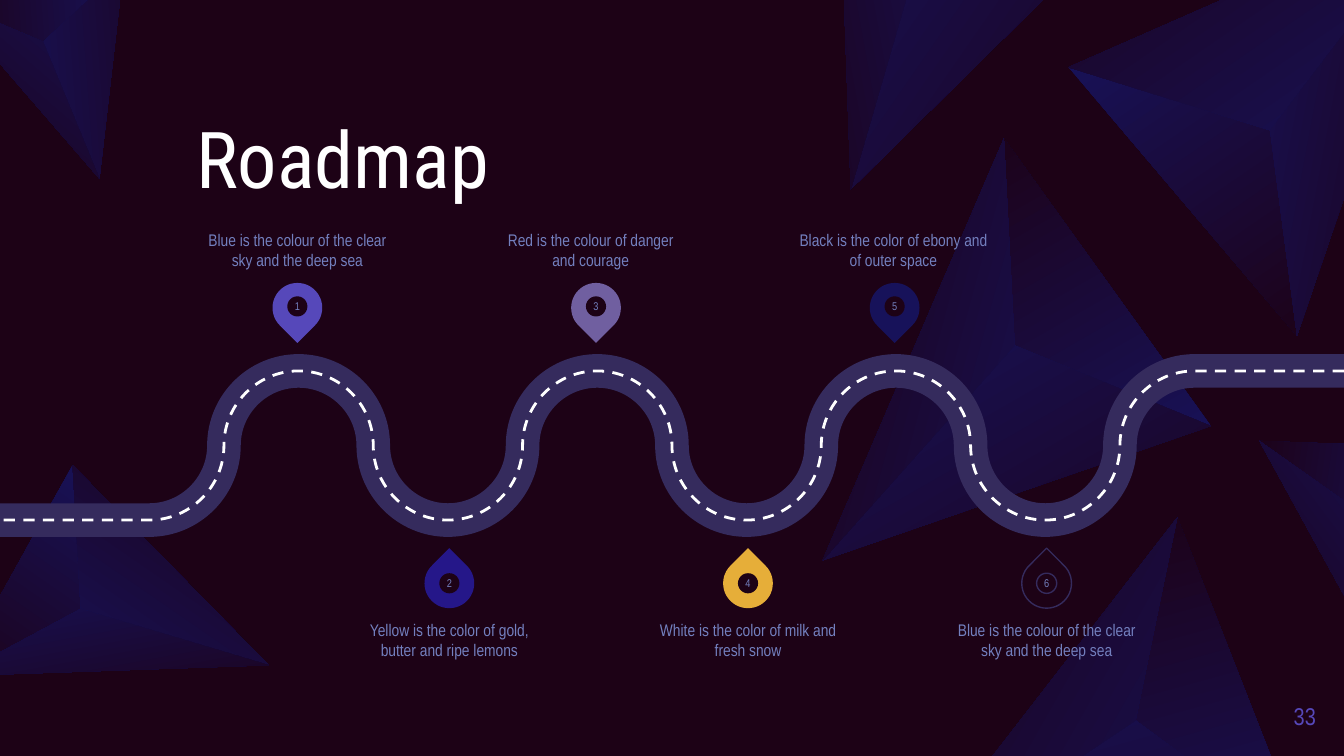
import math

import pptx
import pptx.util
from pptx.dml.color import RGBColor
from pptx.enum.dml import MSO_LINE
from pptx.enum.shapes import MSO_SHAPE
from pptx.enum.text import MSO_ANCHOR, PP_ALIGN
from pptx.oxml import parse_xml
from pptx.oxml.ns import nsdecls, qn

W = 10
H = W * 9 / 16
COLORS = {
    "night": "1D0216", "navy": "17125A", "road": "352B5D", "white": "FFFFFF",
    "violet": "5648BA", "mauve": "705FA0", "blue": "251789", "gold": "E6AE39",
    "text": "7380BF",
}
TITLE_FONT, BODY_FONT = "Roboto Condensed", "Arial Narrow"

# number, pin colour, caption, sideways nudge of the caption
STOPS = [
    ("1", "violet", "Blue is the colour of the clear sky and the deep sea", 0),
    ("2", "blue", "Yellow is the color of gold, butter and ripe lemons", 0),
    ("3", "mauve", "Red is the colour of danger and courage", -0.04),
    ("4", "gold", "White is the color of milk and fresh snow", 0),
    ("5", "navy", "Black is the color of ebony and of outer space", -0.01),
    ("6", "night", "Blue is the colour of the clear sky and the deep sea", 0),
]
# rotation, three base corners, apex
PYRAMIDS = [
    (100.5, (9.65, 2.5), (7.95, 0.5), (10.75, -0.73), (9.45, 0.97)),
    (169.6, (-0.33, 5.03), (0.54, 3.46), (2, 4.95), (0.6, 4.53)),
    (285.1, (7.47, 1.03), (9.01, 3.17), (6.12, 4.17), (7.55, 2.57)),
    (299.6, (8.76, 3.85), (9.72, 6.3), (6.67, 6.55), (8.45, 5.36)),
    (233.2, (9.37, 3.28), (10.73, 3.33), (10.22, 4.83), (10.02, 3.74)),
    (259.7, (6.21, -2), (8.51, -0.74), (6.33, 1.41), (6.93, -0.65)),
    (220.8, (-0.41, 0), (0.92, -0.24), (0.74, 1.33), (0.32, 0.31)),
]

STEP = W / 9                      # one column per stop
ROAD_TOP, ROAD_BOTTOM = 2.76, 3.87
PIN, DOT = 0.37, 0.15
CAPTION_W, CAPTION_H = 1.41, 0.58
# column shift, pin centre, dot centre, caption top, pin rotation, caption anchor
ABOVE = (-0.01, 2.29, 2.28, 1.43, 135, MSO_ANCHOR.BOTTOM)
BELOW = (0.01, 4.34, 4.34, 4.61, 315, MSO_ANCHOR.TOP)

prs = pptx.Presentation()
prs.slide_width, prs.slide_height = pptx.util.Inches(W), pptx.util.Inches(H)
s = prs.slides.add_slide(prs.slide_layouts[6])


def rgb(name):
    return RGBColor.from_string(COLORS[name])


def inches(*values):
    return [pptx.util.Inches(v) for v in values]


def write(sp, text, size=9, color="text", font=BODY_FONT, align=PP_ALIGN.CENTER,
          anchor=MSO_ANCHOR.MIDDLE, spacing=None):
    tf = sp.text_frame
    tf.word_wrap = True
    tf.margin_left = tf.margin_right = tf.margin_top = tf.margin_bottom = 0
    tf.vertical_anchor = anchor
    p = tf.paragraphs[0]
    p.alignment = align
    p.line_spacing = spacing
    r = p.add_run()
    r.text = text
    r.font.size = pptx.util.Pt(size)
    r.font.name = font
    r.font.color.rgb = rgb(color)


def textbox(x, y, w, h, text, **fmt):
    write(s.shapes.add_textbox(*inches(x, y, w, h)), text, **fmt)


def outline(points, close):
    start, *rest = [inches(*pt) for pt in points]
    fb = s.shapes.build_freeform(*start)
    fb.add_line_segments(rest, close=close)
    sp = fb.convert_to_shape()
    sp.shadow.inherit = False
    return sp


def turn(point, degrees):
    a = math.radians(degrees)
    x, y = point
    return (x * math.cos(a) - y * math.sin(a), x * math.sin(a) + y * math.cos(a))


def facet(points, rotation, angle):
    """Triangle whose gradient turns with it; points are as seen once rotated."""
    flat = [turn(pt, -rotation) for pt in points]
    mid = [(min(v) + max(v)) / 2 for v in zip(*flat)]
    cx, cy = turn(mid, rotation)
    sp = outline([(x - mid[0] + cx, y - mid[1] + cy) for x, y in flat], True)
    sp.rotation = rotation
    sp.line.fill.background()
    sp.fill.gradient()
    sp.fill.gradient_angle = 360 - angle
    for stop, name in zip(sp.fill.gradient_stops, ("navy", "night")):
        stop.color.rgb = rgb(name)


def bend(path):
    """Turn the straight steps between the road's two ends into quarter arcs."""
    knots = [(int(pt.get("x")), int(pt.get("y"))) for pt in path.iter(qn("a:pt"))]
    k = 0.55
    for i in range(2, len(knots) - 1):
        (x0, y0), (x1, y1) = knots[i - 1], knots[i]
        dx, dy = k * (x1 - x0), k * (y1 - y0)
        if i % 2 == 0:
            controls = [(x0 + dx, y0), (x1, y1 - dy)]
        else:
            controls = [(x0, y0 + dy), (x1 - dx, y1)]
        path[i].tag = qn("a:cubicBezTo")
        for n, (x, y) in enumerate(controls):
            pt = parse_xml(f'<a:pt {nsdecls("a")} x="{round(x)}" y="{round(y)}"/>')
            path[i].insert(n, pt)


def road(color, width, dash=None):
    mid = (ROAD_TOP + ROAD_BOTTOM) / 2
    levels = [ROAD_TOP, mid, ROAD_BOTTOM, mid]
    knots = [(W - STEP - i * STEP / 2, levels[i % 4]) for i in range(15)]
    sp = outline([(W, ROAD_TOP), *knots, (0, ROAD_BOTTOM)], False)
    bend(sp._element.find(".//" + qn("a:path")))
    sp.fill.background()
    sp.line.color.rgb = rgb(color)
    sp.line.width = pptx.util.Pt(width)
    if dash:
        sp.line.dash_style = dash


def marker(kind, cx, cy, size, fill, outlined):
    sp = s.shapes.add_shape(kind, *inches(cx - size / 2, cy - size / 2, size, size))
    sp.shadow.inherit = False
    sp.fill.solid()
    sp.fill.fore_color.rgb = rgb(fill)
    if outlined:
        sp.line.color.rgb = rgb("road")
        sp.line.width = pptx.util.Pt(0.75)
    else:
        sp.line.fill.background()
    return sp


s.background.fill.solid()
s.background.fill.fore_color.rgb = rgb("night")

for rotation, a, b, c, apex in PYRAMIDS:
    for points, angle in (((a, b, apex), 315), ((b, c, apex), 135), ((a, apex, c), 270)):
        if max(y for _, y in points) > 0:
            facet(points, rotation, angle)

textbox(1.46, 0.88, 7.08, 0.65, "Roadmap", size=42, color="white", font=TITLE_FONT,
        align=PP_ALIGN.LEFT, anchor=MSO_ANCHOR.BOTTOM, spacing=0.9)
textbox(9.35, 5.11, 0.44, 0.43, "33", size=13, color="violet", align=PP_ALIGN.RIGHT)

road("road", 18)
road("white", 1.5, MSO_LINE.DASH)

for i, (number, color, caption, nudge) in enumerate(STOPS):
    shift, pin_y, dot_y, caption_y, rotation, anchor = BELOW if i % 2 else ABOVE
    cx = (i + 2) * STEP + shift
    outlined = color == "night"
    pin = marker(MSO_SHAPE.TEAR, cx, pin_y, PIN, color, outlined)
    pin.rotation = rotation
    dot = marker(MSO_SHAPE.OVAL, cx, dot_y, DOT, "night", outlined)
    write(dot, number, size=6)
    textbox(cx - CAPTION_W / 2 + nudge, caption_y, CAPTION_W, CAPTION_H, caption,
            anchor=anchor)

prs.save("out.pptx")
